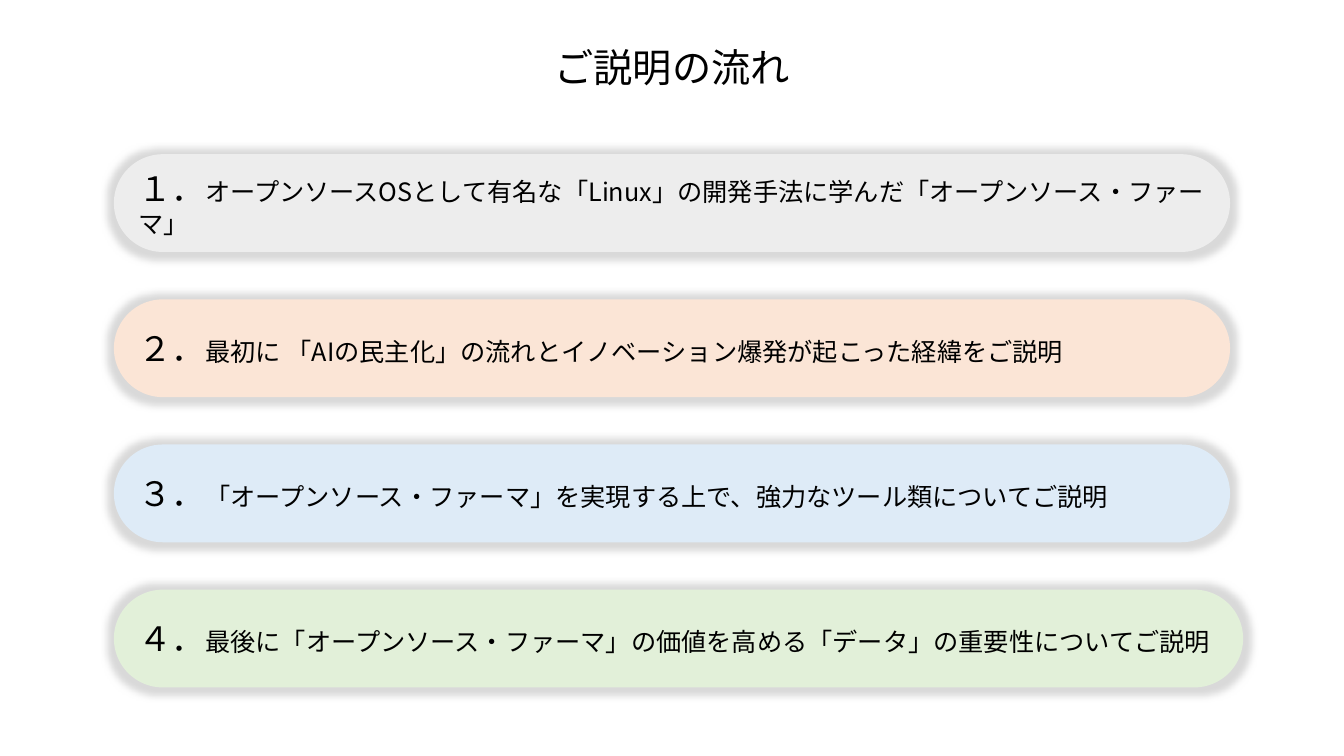
from dataclasses import dataclass

from lxml.etree import SubElement
from pptx import Presentation
from pptx.dml.color import RGBColor
from pptx.enum.lang import MSO_LANGUAGE_ID
from pptx.enum.shapes import MSO_SHAPE
from pptx.enum.text import MSO_ANCHOR, MSO_AUTO_SIZE, PP_ALIGN
from pptx.oxml.ns import qn
from pptx.shapes.autoshape import Shape
from pptx.slide import Slide
from pptx.util import Emu, Pt


@dataclass(frozen=True)
class Theme:
    font: str = "Noto Sans CJK JP"
    text: str = "000000"
    glow: str = "D9D9D9"
    title_size: int = 28
    number_size: int = 24
    body_size: int = 18


@dataclass(frozen=True)
class Step:
    number: str
    text: str
    fill: str
    width: int = 1107


THEME = Theme()
EMU_PER_PX = 9144
STEP_LEFT, STEP_TOP, STEP_HEIGHT, STEP_PITCH = 113, 153, 97, 144
GLOW_RADIUS = 15

STEPS = [
    Step("１．", "オープンソースOSとして有名な「Linux」の開発手法に学んだ「オープンソース・ファーマ」", "EDEDED"),
    Step("２．", "最初に 「AIの民主化」の流れとイノベーション爆発が起こった経緯をご説明", "FBE5D6"),
    Step("３．", "「オープンソース・ファーマ」を実現する上で、強力なツール類についてご説明", "DEEBF7"),
    Step("４．", "最後に「オープンソース・ファーマ」の価値を高める「データ」の重要性についてご説明", "E2F0D9", 1120),
]


def px(length: int) -> Emu:
    return Emu(length * EMU_PER_PX)


def add_text(box: Shape, text: str, *, size: int, align: PP_ALIGN = PP_ALIGN.LEFT) -> None:
    para = box.text_frame.paragraphs[0]
    para.alignment = align
    span = para.add_run()
    span.text = text
    span.font.size = Pt(size)
    span.font.name = THEME.font
    span.font.language_id = MSO_LANGUAGE_ID.JAPANESE
    span.font.color.rgb = RGBColor.from_string(THEME.text)
    SubElement(span.font._element, qn("a:ea"), typeface=THEME.font)


def add_glow(box: Shape) -> None:
    box.shadow.inherit = False
    effects = box._element.spPr.find(qn("a:effectLst"))
    glow = SubElement(effects, qn("a:glow"), rad=str(px(GLOW_RADIUS)))
    SubElement(glow, qn("a:srgbClr"), val=THEME.glow)


def add_title(page: Slide, text: str) -> None:
    box = page.shapes.add_textbox(px(526), px(38), px(281), px(57))
    box.text_frame.word_wrap = False
    box.text_frame.auto_size = MSO_AUTO_SIZE.SHAPE_TO_FIT_TEXT
    add_text(box, text, size=THEME.title_size, align=PP_ALIGN.CENTER)


def add_step(page: Slide, step: Step, top: int) -> None:
    box = page.shapes.add_shape(
        MSO_SHAPE.ROUNDED_RECTANGLE, px(STEP_LEFT), px(top), px(step.width), px(STEP_HEIGHT)
    )
    box.adjustments[0] = 0.5
    box.fill.solid()
    box.fill.fore_color.rgb = RGBColor.from_string(step.fill)
    box.line.fill.background()
    add_glow(box)
    box.text_frame.word_wrap = True
    box.text_frame.vertical_anchor = MSO_ANCHOR.MIDDLE
    add_text(box, step.number, size=THEME.number_size)
    add_text(box, step.text, size=THEME.body_size)


def main() -> None:
    deck = Presentation()
    deck.slide_width, deck.slide_height = px(1333), px(750)
    page = deck.slides.add_slide(deck.slide_layouts[6])
    add_title(page, "ご説明の流れ")
    for index, step in enumerate(STEPS):
        add_step(page, step, STEP_TOP + index * STEP_PITCH)
    deck.save("out.pptx")


if __name__ == "__main__":
    main()
